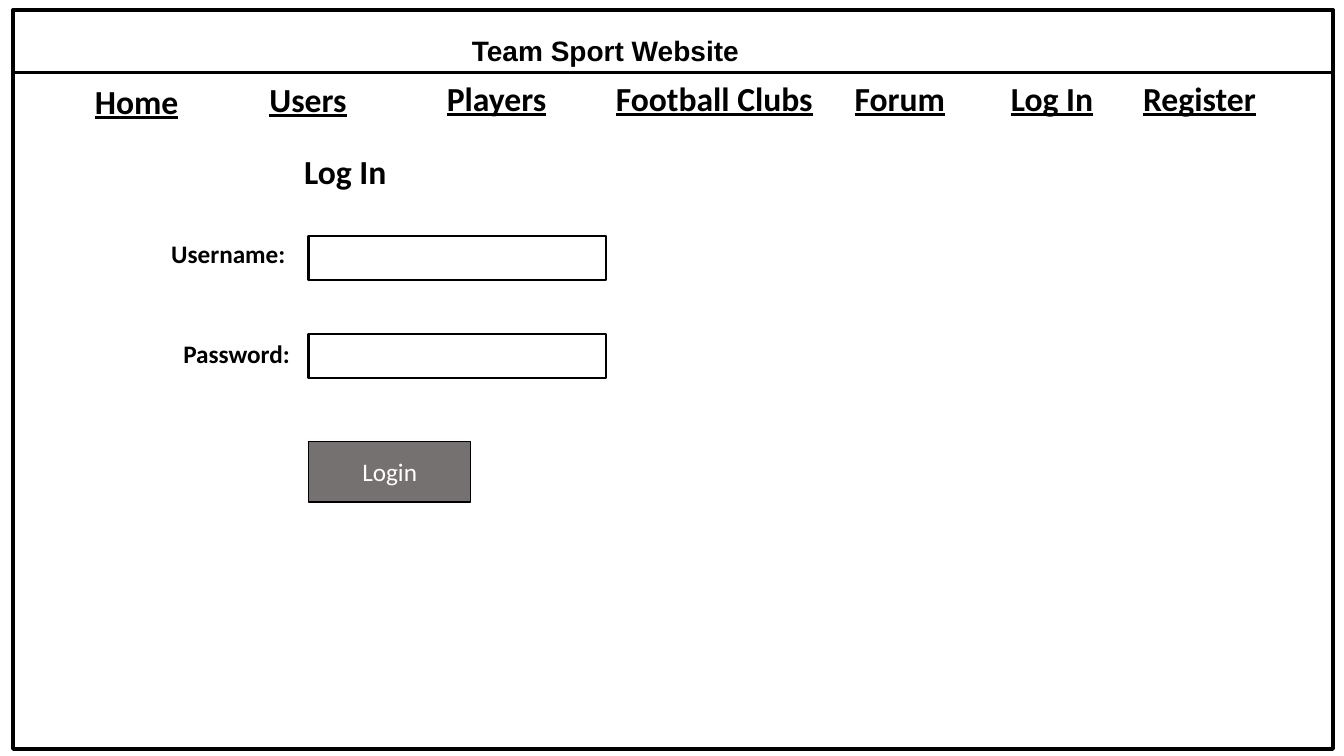
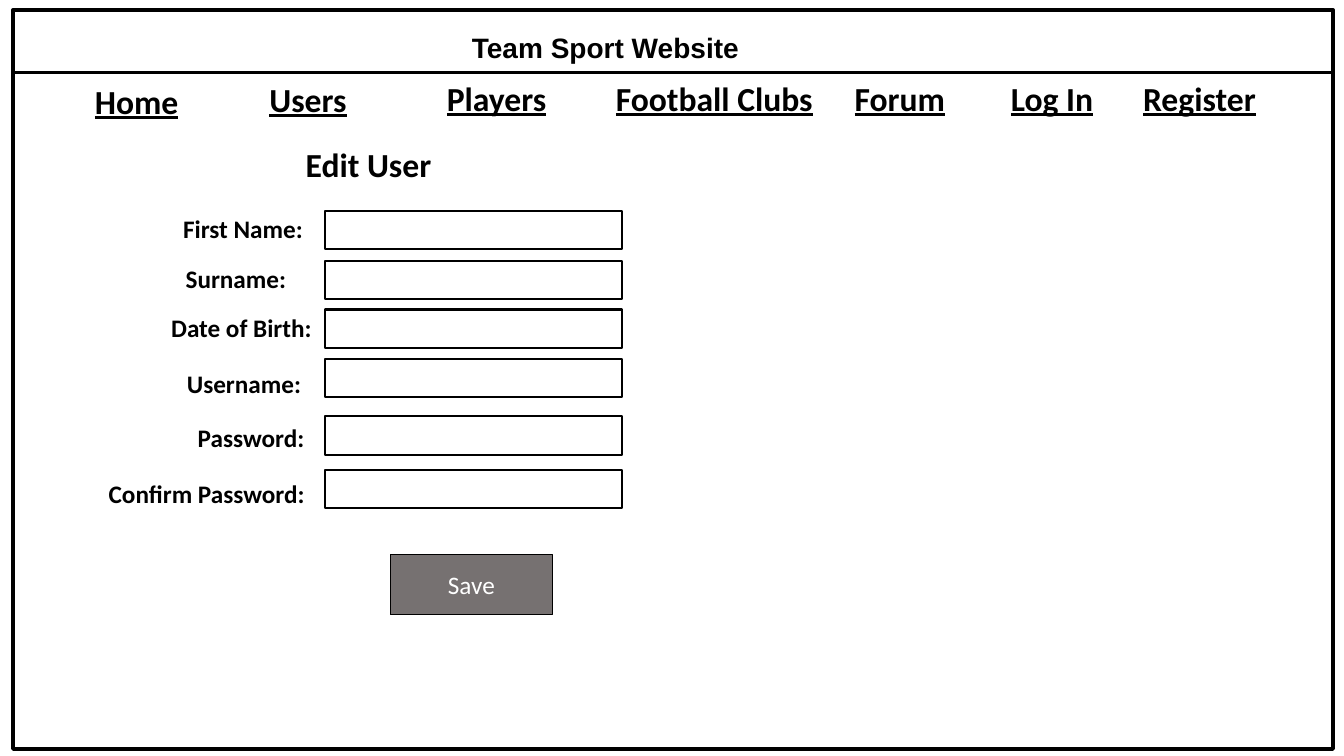
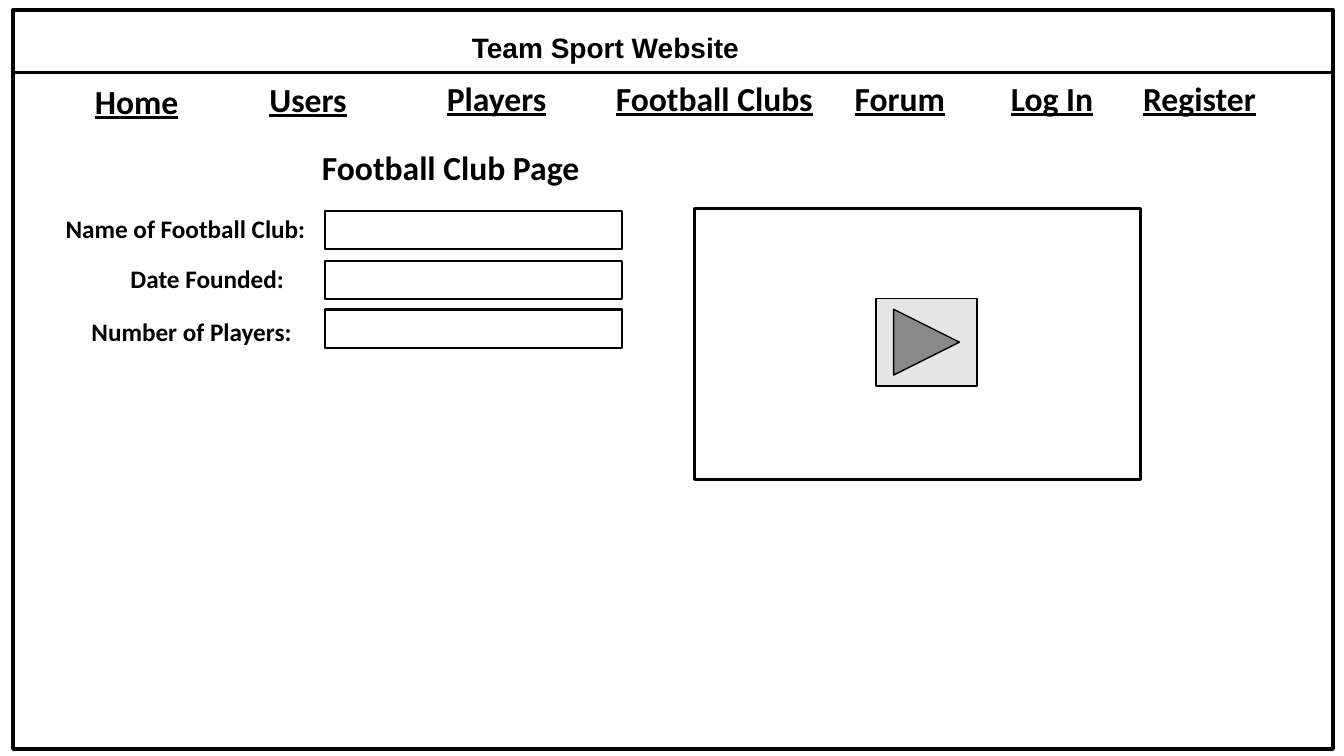
from lxml import etree
from pptx import Presentation
from pptx.dml.color import RGBColor
from pptx.enum.shapes import MSO_CONNECTOR, MSO_SHAPE
from pptx.enum.text import MSO_ANCHOR, MSO_AUTO_SIZE, PP_ALIGN
from pptx.oxml.ns import qn
from pptx.util import Inches, Pt

BLACK = RGBColor(0x00, 0x00, 0x00)
WHITE = RGBColor(0xFF, 0xFF, 0xFF)
BUTTON_GRAY = RGBColor(0x76, 0x71, 0x71)
PLAYER_GRAY = RGBColor(0xE7, 0xE6, 0xE6)

SITE_TITLE = "Team Sport Website"
FRAME = (0.13, 0.1, 13.09, 7.33)
HEADER_RULE = (0.13, 13.21, 0.72)  # left, right, height on the slide
FIELD_WIDTH = 2.95
BUTTON_SIZE = (1.61, 0.6)
LINK_HEIGHT, TITLE_HEIGHT, LABEL_HEIGHT = 0.5, 0.44, 0.4

# text, left, top, width
NAVIGATION = [
    ("Home", 0.32, 0.75, 2.07),
    ("Users", 2.02, 0.73, 2.07),
    ("Players", 3.89, 0.72, 2.07),
    ("Football Clubs", 5.97, 0.72, 2.23),
    ("Forum", 7.81, 0.72, 2.23),
    ("Log In", 9.56, 0.72, 1.75),
    ("Register", 11.02, 0.72, 1.75),
]

# heading: text, left, top, width; each label: text, left, top, width, field top
PAGES = [
    {
        "title_top": 0.28,
        "heading": ("Log In", 2.39, 1.45, 2.07),
        "field_left": 3.06,
        "field_height": 0.44,
        "label_align": PP_ALIGN.LEFT,
        "fields": [
            ("Username:", 1.6, 2.32, 1.36, 2.34),
            ("Password:", 1.72, 3.31, 1.36, 3.31),
        ],
        "button": ("Login", 3.06, 4.38),
    },
    {
        "title_top": 0.25,
        "heading": ("Edit User", 2.62, 1.38, 2.07),
        "field_left": 3.22,
        "field_height": 0.38,
        "label_align": PP_ALIGN.CENTER,
        "fields": [
            ("First Name:", 1.67, 2.07, 1.48, 2.09),
            ("Surname:", 1.67, 2.56, 1.34, 2.59),
            ("Date of Birth:", 1.56, 3.05, 1.67, 3.07),
            ("Username:", 1.74, 3.6, 1.36, 3.56),
            ("Password:", 1.82, 4.14, 1.34, 4.13),
            ("Confirm Password:", 0.87, 4.7, 2.36, 4.66),
        ],
        "button": ("Save", 3.87, 5.5),
    },
    {
        "title_top": 0.25,
        "heading": ("Football Club Page", 2.98, 1.41, 2.98),
        "field_left": 3.22,
        "field_height": 0.38,
        "label_align": PP_ALIGN.CENTER,
        "fields": [
            ("Name of Football Club:", 0.53, 2.07, 2.62, 2.09),
            ("Date Founded:", 1.11, 2.56, 1.89, 2.59),
            ("Number of Players:", 0.74, 3.09, 2.32, 3.07),
        ],
        "video": {"screen": (6.89, 2.07, 4.42, 2.69), "play": (8.69, 2.96, 1, 0.87)},
    },
]


def write_text(text_frame, text, size=18, font="Calibri", color=BLACK, bold=True,
               underline=None, align=PP_ALIGN.CENTER):
    """Put one formatted run of text into a text frame."""
    text_frame.word_wrap = True
    paragraph = text_frame.paragraphs[0]
    paragraph.alignment = align
    run = paragraph.add_run()
    run.text = text
    run.font.size = Pt(size)
    run.font.name = font
    run.font.color.rgb = color
    run.font.bold = bold
    run.font.underline = underline


def add_text(slide, text, left, top, width, height, **text_format):
    """Add a text box that grows with its text."""
    box = slide.shapes.add_textbox(*map(Inches, (left, top, width, height)))
    write_text(box.text_frame, text, **text_format)
    box.text_frame.auto_size = MSO_AUTO_SIZE.SHAPE_TO_FIT_TEXT


def add_box(slide, left, top, width, height, line_width, fill=None,
            kind=MSO_SHAPE.RECTANGLE):
    """Add a black-outlined shape, unfilled unless a fill is given."""
    shape = slide.shapes.add_shape(kind, *map(Inches, (left, top, width, height)))
    shape.shadow.inherit = False
    shape.line.color.rgb = BLACK
    shape.line.width = Pt(line_width)
    if fill is None:
        shape.fill.background()
    else:
        shape.fill.solid()
        shape.fill.fore_color.rgb = fill
    return shape


def add_header(slide, title_top):
    """Draw the page frame, site title, rule and navigation links."""
    add_box(slide, *FRAME, line_width=3)
    add_text(slide, SITE_TITLE, 3.87, title_top, 4.27, TITLE_HEIGHT, size=20, font="Arial")
    left, right, top = map(Inches, HEADER_RULE)
    rule = slide.shapes.add_connector(MSO_CONNECTOR.STRAIGHT, left, top, right, top)
    rule.line.color.rgb = BLACK
    rule.line.width = Pt(2.25)
    etree.SubElement(rule.element.spPr, qn("a:effectLst"))
    for text, left, top, width in NAVIGATION:
        add_text(slide, text, left, top, width, LINK_HEIGHT, size=24, underline=True)


def add_form(slide, page):
    """Draw the labels and their entry fields."""
    for text, left, top, width, field_top in page["fields"]:
        add_text(slide, text, left, top, width, LABEL_HEIGHT, align=page["label_align"])
        add_box(slide, page["field_left"], field_top, FIELD_WIDTH, page["field_height"],
                line_width=1.5)


def add_button(slide, text, left, top):
    """Draw a gray button with white text."""
    button = add_box(slide, left, top, *BUTTON_SIZE, line_width=1, fill=BUTTON_GRAY)
    button.text_frame.vertical_anchor = MSO_ANCHOR.MIDDLE
    write_text(button.text_frame, text, color=WHITE, bold=False)


def add_video(slide, screen, play):
    """Draw the video screen and its play button."""
    add_box(slide, *screen, line_width=2.25)
    add_box(slide, *play, line_width=1, fill=PLAYER_GRAY,
            kind=MSO_SHAPE.ACTION_BUTTON_FORWARD_OR_NEXT)


def build_page(presentation, page):
    """Add one page of the site as a slide."""
    slide = presentation.slides.add_slide(presentation.slide_layouts[6])
    add_header(slide, page["title_top"])
    add_text(slide, *page["heading"], LINK_HEIGHT, size=24)
    add_form(slide, page)
    if "button" in page:
        add_button(slide, *page["button"])
    if "video" in page:
        add_video(slide, **page["video"])


presentation = Presentation()
presentation.slide_width = Inches(13.33)
presentation.slide_height = Inches(7.5)
for page in PAGES:
    build_page(presentation, page)
presentation.save("out.pptx")
